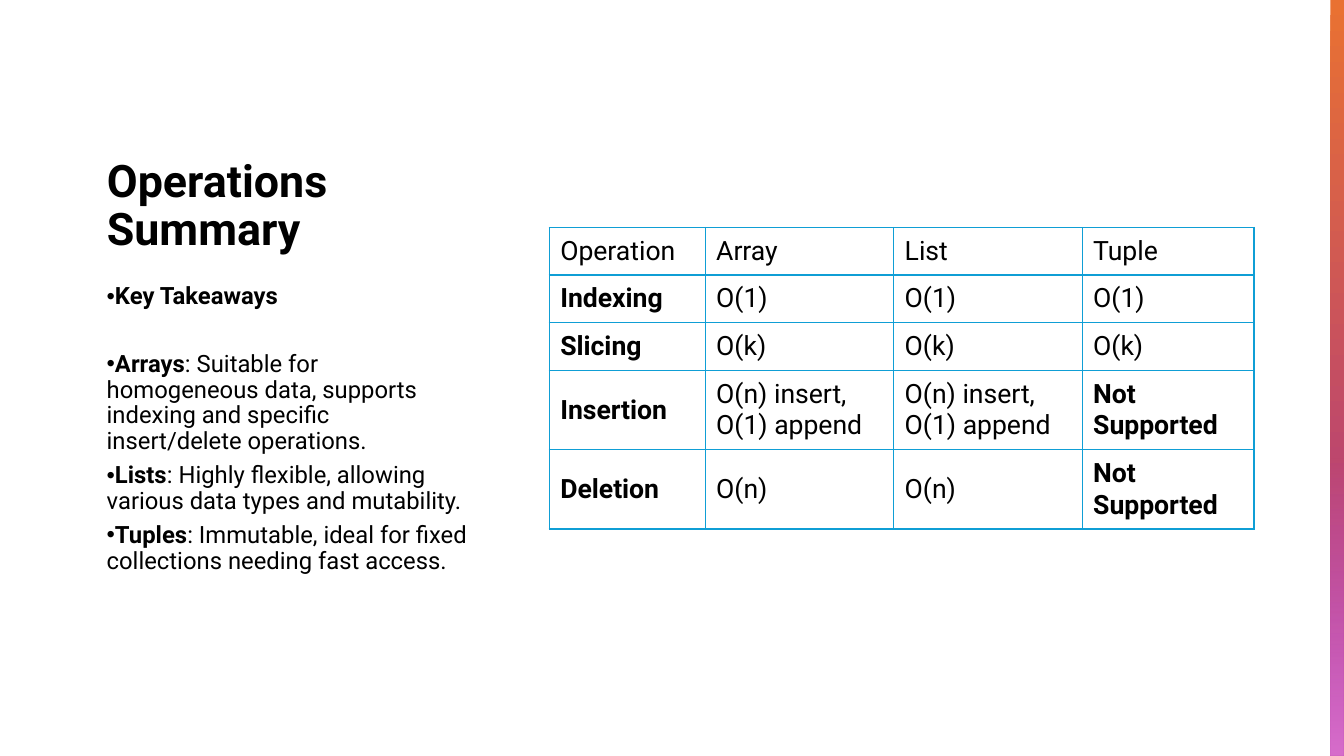
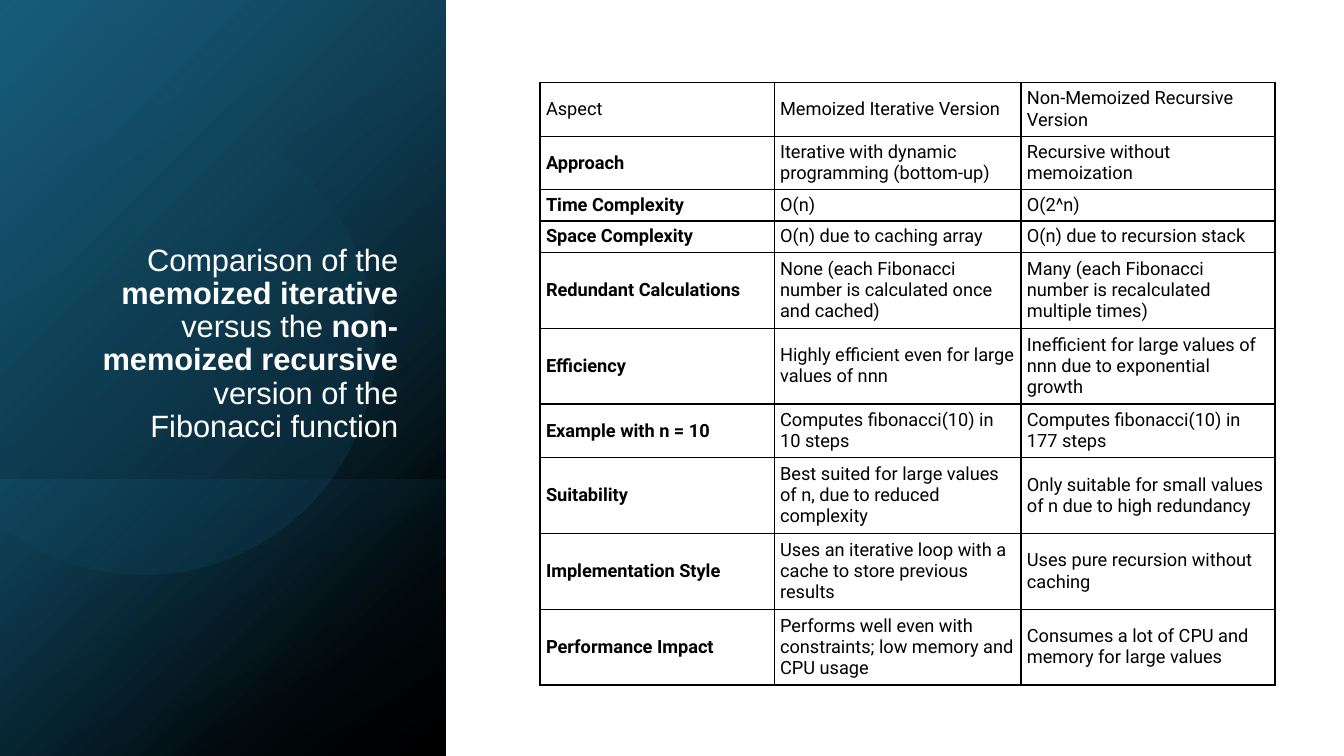
from dataclasses import dataclass
from math import acos, cos, pi, sin

from lxml.etree import SubElement
from pptx import Presentation
from pptx.dml.color import RGBColor
from pptx.enum.shapes import MSO_SHAPE
from pptx.enum.text import MSO_ANCHOR, MSO_AUTO_SIZE, PP_ALIGN
from pptx.oxml.ns import qn
from pptx.util import Cm, Pt


@dataclass(frozen=True)
class Theme:
    black: str = "000000"
    white: str = "FFFFFF"
    blue: str = "0F9ED5"
    orange: str = "E97132"
    purple: str = "A02B93"
    pink: str = "D86ECC"
    navy: str = "104862"
    teal: str = "156082"
    sky: str = "46B1E1"
    font: str = "Roboto"
    panel_font: str = "Arial"
    title_size: float = 32
    panel_title_size: float = 22
    body_size: float = 17
    spacing: float = 0.9
    paragraph_gap: float = 6
    section_gap: float = 30


THEME = Theme()
SLIDE_WIDTH, SLIDE_HEIGHT = 33.87, 19.05

# Text is a list of (wording, bold) runs; boxes are left, top, width, height in cm.
SUMMARY_TITLE = [("Operations Summary", True)]
SUMMARY_TITLE_BOX = (2.44, 2.06, 9.6, 4.5)
TAKEAWAYS_BOX = (2.44, 7.04, 9.6, 9.58)
TAKEAWAYS = [
    [("Key Takeaways", True)],
    [("Arrays", True), (": Suitable for homogeneous data, supports indexing and "
                        "specific insert/delete operations.", False)],
    [("Lists", True), (": Highly flexible, allowing various data types and "
                       "mutability.", False)],
    [("Tuples", True), (": Immutable, ideal for fixed collections needing fast "
                        "access.", False)],
]
OPERATIONS = [
    ("Operation", "Array", "List", "Tuple"),
    ("Indexing", "O(1)", "O(1)", "O(1)"),
    ("Slicing", "O(k)", "O(k)", "O(k)"),
    ("Insertion", "O(n) insert, O(1) append", "O(n) insert, O(1) append",
     "Not Supported"),
    ("Deletion", "O(n)", "O(n)", "Not Supported"),
]

COMPARISON_TITLE = [
    ("Comparison of the ", False),
    ("memoized iterative", True),
    (" versus the ", False),
    ("non-memoized recursive", True),
    (" version of the Fibonacci function", False),
]
COMPARISON_TITLE_BOX = (1.63, 4.67, 8.66, 6.65)
COMPARISON = [
    ("Aspect", "Memoized Iterative Version", "Non-Memoized Recursive Version"),
    ("Approach", "Iterative with dynamic programming (bottom-up)",
     "Recursive without memoization"),
    ("Time Complexity", "O(n)", "O(2^n)"),
    ("Space Complexity", "O(n) due to caching array", "O(n) due to recursion stack"),
    ("Redundant Calculations",
     "None (each Fibonacci number is calculated once and cached)",
     "Many (each Fibonacci number is recalculated multiple times)"),
    ("Efficiency", "Highly efficient even for large values of nnn",
     "Inefficient for large values of nnn due to exponential growth"),
    ("Example with n = 10", "Computes fibonacci(10) in 10 steps",
     "Computes fibonacci(10) in 177 steps"),
    ("Suitability", "Best suited for large values of n, due to reduced complexity",
     "Only suitable for small values of n due to high redundancy"),
    ("Implementation Style",
     "Uses an iterative loop with a cache to store previous results",
     "Uses pure recursion without caching"),
    ("Performance Impact",
     "Performs well even with constraints; low memory and CPU usage",
     "Consumes a lot of CPU and memory for large values"),
]


@dataclass(frozen=True)
class TableLook:
    """Geometry in cm; a row is row_base plus line_height for each text line."""
    origin: tuple
    columns: tuple
    lines: tuple
    row_base: float
    line_height: float
    insets: tuple
    size: float
    border: str


OPERATIONS_LOOK = TableLook((13.84, 5.73), (3.93, 4.75, 4.75, 4.33), (1, 1, 1, 2, 2),
                            0.4, 0.8, (0.28, 0.13), 19, THEME.blue)
COMPARISON_LOOK = TableLook((13.61, 2.08), (5.9, 6.22, 6.4),
                            (2, 2, 1, 1, 3, 3, 2, 3, 3, 3),
                            0.23, 0.56, (0.15, 0.08), 13, THEME.black)

# Each gradient: clockwise angle, then (position, colour, opacity) for both ends.
STRIPE_LEFT, STRIPE_GLOW_TOP = 33.53, 9.8
STRIPE_GRADIENT = (90, (0, THEME.orange, 100), (100, THEME.purple, 100))
STRIPE_GLOW = (90, (19, THEME.pink, 0), (100, THEME.pink, 100))

PANEL_WIDTH, PANEL_BAND_TOP = 11.23, 12.09
PANEL_BASE = (45, (0, THEME.navy, 100), (85, THEME.black, 100))
PANEL_GLOW = (45, (0, THEME.teal, 46), (80, THEME.teal, 0))
PANEL_BAND = (50, (0, THEME.teal, 29), (100, THEME.black, 30))
PANEL_SHEEN = (60, (0, THEME.sky, 11), (100, THEME.sky, 0))
DISC_GRADIENT = (45, (29, THEME.teal, 0), (100, THEME.teal, 22))
DISC_CENTER, DISC_RADIUS, DISC_STEPS = (3.63, 8.64), 5.84, 72


def cm_all(values):
    return [Cm(value) for value in values]


def add_runs(para, runs, font, size, color):
    for wording, bold in runs:
        span = para.add_run()
        span.text = wording
        span.font.name = font
        span.font.size = Pt(size)
        span.font.bold = bold
        span.font.color.rgb = RGBColor.from_string(color)


def set_gradient(shape, gradient):
    angle, *ends = gradient
    shape.shadow.inherit = False
    shape.line.fill.background()
    shape.fill.gradient()
    shape.fill.gradient_angle = (360 - angle) % 360
    for stop, (position, color, _) in zip(shape.fill.gradient_stops, ends):
        stop.position = position / 100
        stop.color.rgb = RGBColor.from_string(color)
    gradient_colors = shape.element.spPr.iter(qn("a:srgbClr"))
    for node, (_, _, opacity) in zip(list(gradient_colors), ends):
        if opacity < 100:
            SubElement(node, qn("a:alpha"), val=str(opacity * 1000))


def add_gradient_box(page, box, gradient):
    set_gradient(page.shapes.add_shape(MSO_SHAPE.RECTANGLE, *cm_all(box)), gradient)


def add_disc(page):
    """Draw the circle with its left side cut off at the slide edge."""
    center_x, center_y = DISC_CENTER
    reach = acos(-center_x / DISC_RADIUS)
    angles = [-reach + 2 * reach * step / DISC_STEPS for step in range(DISC_STEPS + 1)]
    points = [(Cm(max(0, center_x + DISC_RADIUS * cos(angle))),
               Cm(center_y + DISC_RADIUS * sin(angle))) for angle in angles]
    outline = page.shapes.build_freeform(*points[0])
    outline.add_line_segments(points[1:], close=True)
    set_gradient(outline.convert_to_shape(), DISC_GRADIENT)


def set_title(page, box, runs, font, size, color, align):
    """Format the title placeholder and bring it in front of the panels."""
    title = page.shapes.title
    title.left, title.top, title.width, title.height = cm_all(box)
    frame = title.text_frame
    frame.word_wrap = True
    frame.auto_size = MSO_AUTO_SIZE.NONE
    frame.vertical_anchor = MSO_ANCHOR.BOTTOM
    para = frame.paragraphs[0]
    para.alignment = align
    para.line_spacing = THEME.spacing
    para.space_before = Pt(0)
    add_runs(para, runs, font, size, color)
    title.element.getparent().append(title.element)


def add_takeaways(page):
    frame = page.shapes.add_textbox(*cm_all(TAKEAWAYS_BOX)).text_frame
    frame.word_wrap = True
    for index, runs in enumerate(TAKEAWAYS):
        para = frame.add_paragraph() if index else frame.paragraphs[0]
        para.line_spacing = THEME.spacing
        para.space_after = Pt(THEME.paragraph_gap if index else THEME.section_gap)
        add_runs(para, runs, THEME.font, THEME.body_size, THEME.black)
        properties = para._p.get_or_add_pPr()
        properties.set("marL", "0")
        properties.set("indent", str(-Cm(0.64)))
        SubElement(properties, qn("a:buFont"), typeface="Arial")
        SubElement(properties, qn("a:buChar"), char="•")


def set_borders(cell, color):
    properties = cell._tc.get_or_add_tcPr()
    for side in ("a:lnL", "a:lnR", "a:lnT", "a:lnB"):
        line = SubElement(properties, qn(side), w=str(Pt(1)))
        SubElement(SubElement(line, qn("a:solidFill")), qn("a:srgbClr"), val=color)


def add_grid(page, rows, look):
    heights = [look.row_base + look.line_height * count for count in look.lines]
    table = page.shapes.add_table(
        len(rows), len(look.columns), *cm_all(look.origin),
        Cm(sum(look.columns)), Cm(sum(heights))).table
    table.first_row = table.horz_banding = False
    for column, width in zip(table.columns, look.columns):
        column.width = Cm(width)
    for row, height in zip(table.rows, heights):
        row.height = Cm(height)
    for row_index, row in enumerate(rows):
        for column_index, wording in enumerate(row):
            cell = table.cell(row_index, column_index)
            set_borders(cell, look.border)
            cell.fill.background()
            cell.vertical_anchor = MSO_ANCHOR.MIDDLE
            cell.margin_left = cell.margin_right = Cm(look.insets[0])
            cell.margin_top = cell.margin_bottom = Cm(look.insets[1])
            bold = (row_index > 0 and column_index == 0) or wording == "Not Supported"
            add_runs(cell.text_frame.paragraphs[0], [(wording, bold)],
                     THEME.font, look.size, THEME.black)


def build_summary(page):
    stripe_width = SLIDE_WIDTH - STRIPE_LEFT
    for top, gradient in ((0, STRIPE_GRADIENT), (STRIPE_GLOW_TOP, STRIPE_GLOW)):
        add_gradient_box(page, (STRIPE_LEFT, top, stripe_width, SLIDE_HEIGHT - top),
                         gradient)
    set_title(page, SUMMARY_TITLE_BOX, SUMMARY_TITLE, THEME.font, THEME.title_size,
              THEME.black, PP_ALIGN.LEFT)
    add_takeaways(page)
    add_grid(page, OPERATIONS, OPERATIONS_LOOK)


def build_comparison(page):
    panel = (0, 0, PANEL_WIDTH, SLIDE_HEIGHT)
    band = (0, PANEL_BAND_TOP, PANEL_WIDTH, SLIDE_HEIGHT - PANEL_BAND_TOP)
    for box, gradient in ((panel, PANEL_BASE), (panel, PANEL_GLOW), (band, PANEL_BAND)):
        add_gradient_box(page, box, gradient)
    add_disc(page)
    add_gradient_box(page, panel, PANEL_SHEEN)
    set_title(page, COMPARISON_TITLE_BOX, COMPARISON_TITLE, THEME.panel_font,
              THEME.panel_title_size, THEME.white, PP_ALIGN.RIGHT)
    add_grid(page, COMPARISON, COMPARISON_LOOK)


def main():
    deck = Presentation()
    deck.slide_width, deck.slide_height = Cm(SLIDE_WIDTH), Cm(SLIDE_HEIGHT)
    title_only = deck.slide_layouts[5]
    for build in (build_summary, build_comparison):
        build(deck.slides.add_slide(title_only))
    deck.save("out.pptx")


if __name__ == "__main__":
    main()
